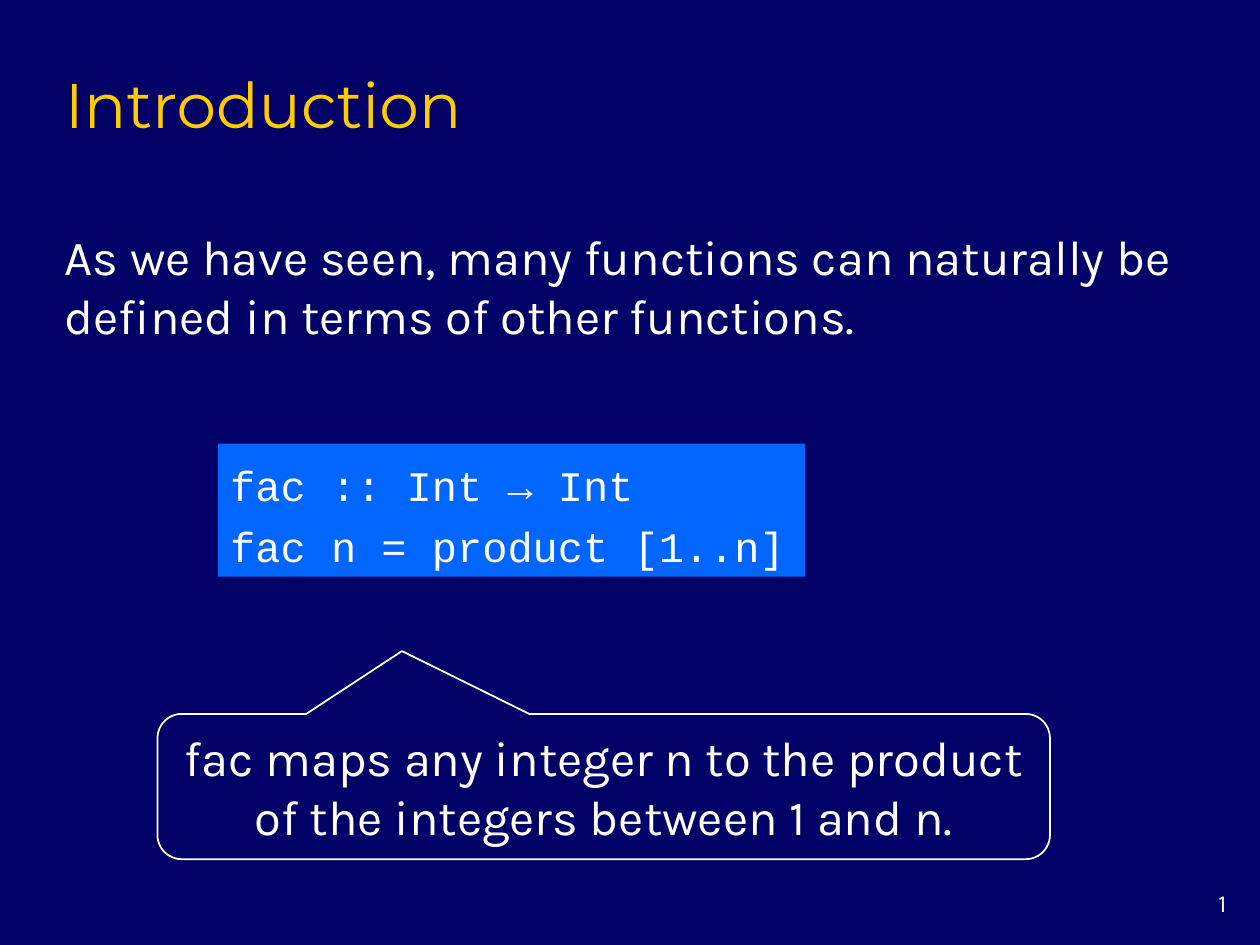
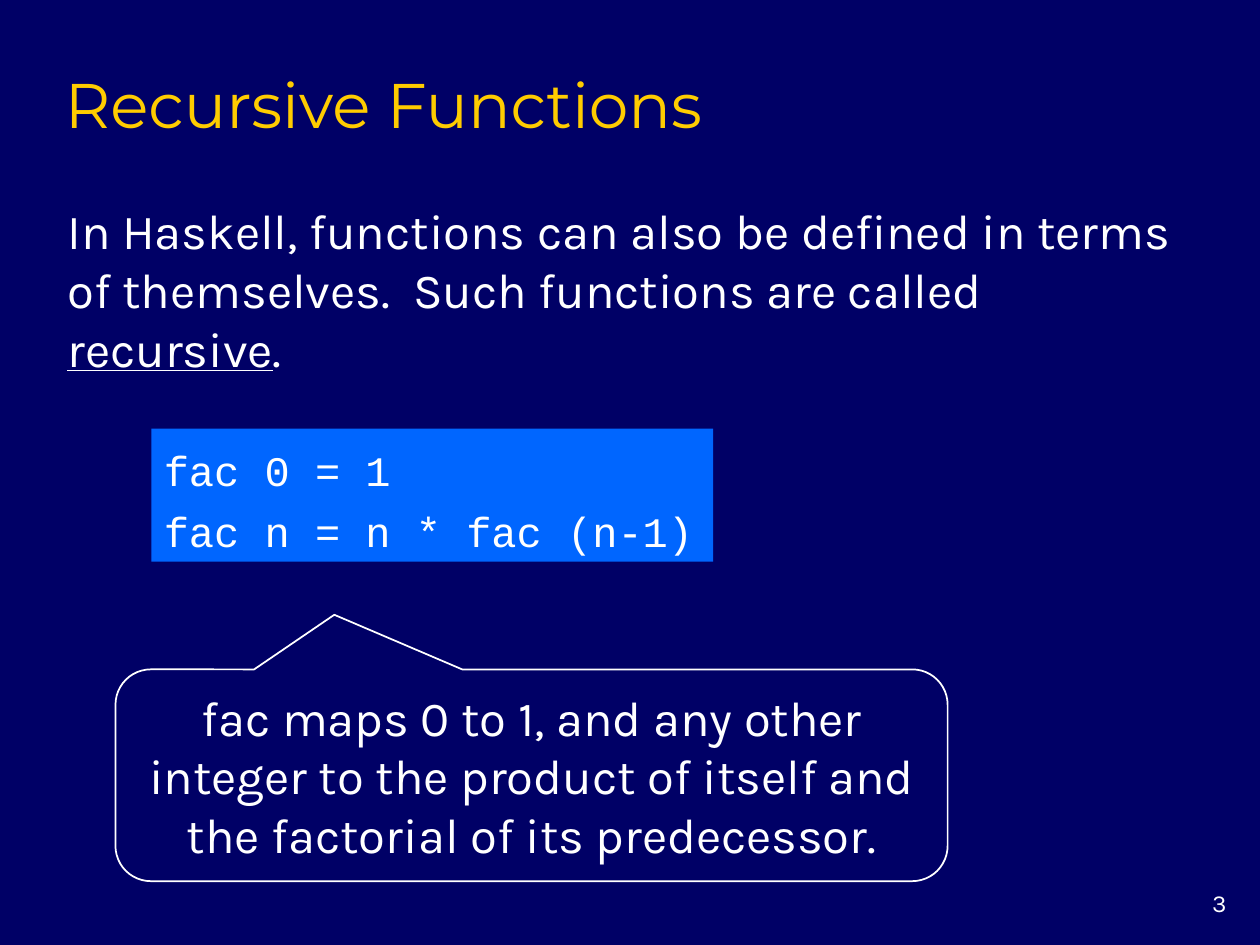
"""Build two slides that introduce recursive functions."""
import dataclasses
import typing

import pptx
import pptx.dml.color
import pptx.enum.shapes
import pptx.enum.text
import pptx.util

Pt = pptx.util.Pt
ALIGN = pptx.enum.text.PP_ALIGN
ANCHOR = pptx.enum.text.MSO_ANCHOR
FIT = pptx.enum.text.MSO_AUTO_SIZE
SHAPE = pptx.enum.shapes.MSO_SHAPE

COLORS = {"background": "000066", "title": "FFCC00", "text": "FFFFFF", "code": "0066FF"}

Box = tuple[float, float, float, float]
Runs = tuple[tuple[str, bool], ...]

TITLE_BOX: Box = (30, 30, 612, 54)
NUMBER_BOX: Box = (660, 504, 48, 24)


@dataclasses.dataclass(frozen=True)
class TextStyle:
    color: str
    font: dict[str, typing.Any]
    paragraph: dict[str, typing.Any]
    frame: dict[str, typing.Any]


GROWING = {"word_wrap": True, "auto_size": FIT.SHAPE_TO_FIT_TEXT, "vertical_anchor": ANCHOR.MIDDLE}
BODY_FONT = {"name": "Karla", "size": Pt(28)}

STYLES = {
    "title": TextStyle("title", {"name": "Montserrat", "size": Pt(36)}, {"alignment": ALIGN.LEFT},
                       {"word_wrap": True, "vertical_anchor": ANCHOR.BOTTOM}),
    "number": TextStyle("text", {"name": "Karla", "size": Pt(14)}, {"alignment": ALIGN.RIGHT},
                        {"word_wrap": True, "vertical_anchor": ANCHOR.TOP}),
    "body": TextStyle("text", BODY_FONT, {"alignment": ALIGN.LEFT}, GROWING),
    "code": TextStyle("text", {"name": "Courier New", "size": Pt(24)},
                      {"alignment": ALIGN.LEFT, "line_spacing": 1.2}, GROWING | {"word_wrap": False}),
    "callout": TextStyle("text", BODY_FONT, {"alignment": ALIGN.CENTER}, GROWING),
}


@dataclasses.dataclass(frozen=True)
class FunctionSlide:
    number: int
    title: str
    body: Runs
    body_box: Box
    code: tuple[str, ...]
    code_box: Box
    callout: str
    callout_box: Box
    pointer: tuple[float, float]


SLIDES = [
    FunctionSlide(
        number=1,
        title="Introduction",
        body=(("As we have seen, many functions can naturally be defined in terms of other functions.", False),),
        body_box=(30, 126, 659, 74),
        code=("fac :: Int → Int", "fac n = product [1..n]"),
        code_box=(124.5, 253.5, 335.5, 76),
        callout="fac maps any integer n to the product of the integers between 1 and n.",
        callout_box=(90, 408, 510, 83),
        pointer=(-0.226, -0.933),
    ),
    FunctionSlide(
        number=3,
        title="Recursive Functions",
        body=(("In Haskell, functions can also be defined in terms of themselves.  Such functions are called ", False),
              ("recursive", True), (".", False)),
        body_box=(31.5, 128, 665, 74),
        code=("fac 0 = 1", "fac n = n * fac (n-1)"),
        code_box=(86.5, 245, 321, 76),
        callout="fac maps 0 to 1, and any other integer to the product of itself and "
                "the factorial of its predecessor.",
        callout_box=(66, 382.5, 475.5, 121),
        pointer=(-0.237, -0.758),
    ),
]


def rgb(name: str) -> pptx.dml.color.RGBColor:
    """Return the named palette colour."""
    return pptx.dml.color.RGBColor.from_string(COLORS[name])


def apply_format(target: typing.Any, values: dict[str, typing.Any]) -> None:
    """Set each format value on the target."""
    for name, value in values.items():
        setattr(target, name, value)


def write(sp: typing.Any, style: TextStyle, paragraphs: typing.Sequence[Runs]) -> None:
    """Fill a shape with styled paragraphs."""
    tf = sp.text_frame
    apply_format(tf, style.frame)
    for index, runs in enumerate(paragraphs):
        p = tf.add_paragraph() if index else tf.paragraphs[0]
        apply_format(p, style.paragraph)
        for text, underlined in runs:
            r = p.add_run()
            r.text = text
            apply_format(r.font, style.font | {"underline": underlined})
            r.font.color.rgb = rgb(style.color)


def add_text(s: typing.Any, box: Box, style: str, runs: Runs) -> None:
    """Add a text box with one paragraph."""
    write(s.shapes.add_textbox(*map(Pt, box)), STYLES[style], [runs])


def add_code(s: typing.Any, box: Box, lines: tuple[str, ...]) -> None:
    """Add a filled panel of code lines."""
    sp = s.shapes.add_shape(SHAPE.RECTANGLE, *map(Pt, box))
    sp.shadow.inherit = False
    sp.fill.solid()
    sp.fill.fore_color.rgb = rgb("code")
    sp.line.fill.background()
    write(sp, STYLES["code"], [((line, False),) for line in lines])


def add_callout(s: typing.Any, box: Box, pointer: tuple[float, float], text: str) -> None:
    """Add an outlined callout that points at the code."""
    sp = s.shapes.add_shape(SHAPE.ROUNDED_RECTANGULAR_CALLOUT, *map(Pt, box))
    for index, value in enumerate((*pointer, 0.167)):
        sp.adjustments[index] = value
    sp.shadow.inherit = False
    sp.fill.background()
    sp.line.color.rgb = rgb("text")
    sp.line.width = Pt(1)
    write(sp, STYLES["callout"], [((text, False),)])


def add_slide(prs: typing.Any, content: FunctionSlide) -> None:
    """Add one slide with its number, title, body, code and callout."""
    s = prs.slides.add_slide(prs.slide_layouts[6])
    add_text(s, NUMBER_BOX, "number", ((str(content.number), False),))
    add_text(s, TITLE_BOX, "title", ((content.title, False),))
    add_text(s, content.body_box, "body", content.body)
    add_code(s, content.code_box, content.code)
    add_callout(s, content.callout_box, content.pointer, content.callout)


def main() -> None:
    """Build and save the presentation."""
    prs = pptx.Presentation()
    apply_format(prs, {"slide_width": Pt(720), "slide_height": Pt(540)})
    fill = prs.slide_master.background.fill
    fill.solid()
    fill.fore_color.rgb = rgb("background")
    for content in SLIDES:
        add_slide(prs, content)
    prs.save("out.pptx")


main()
